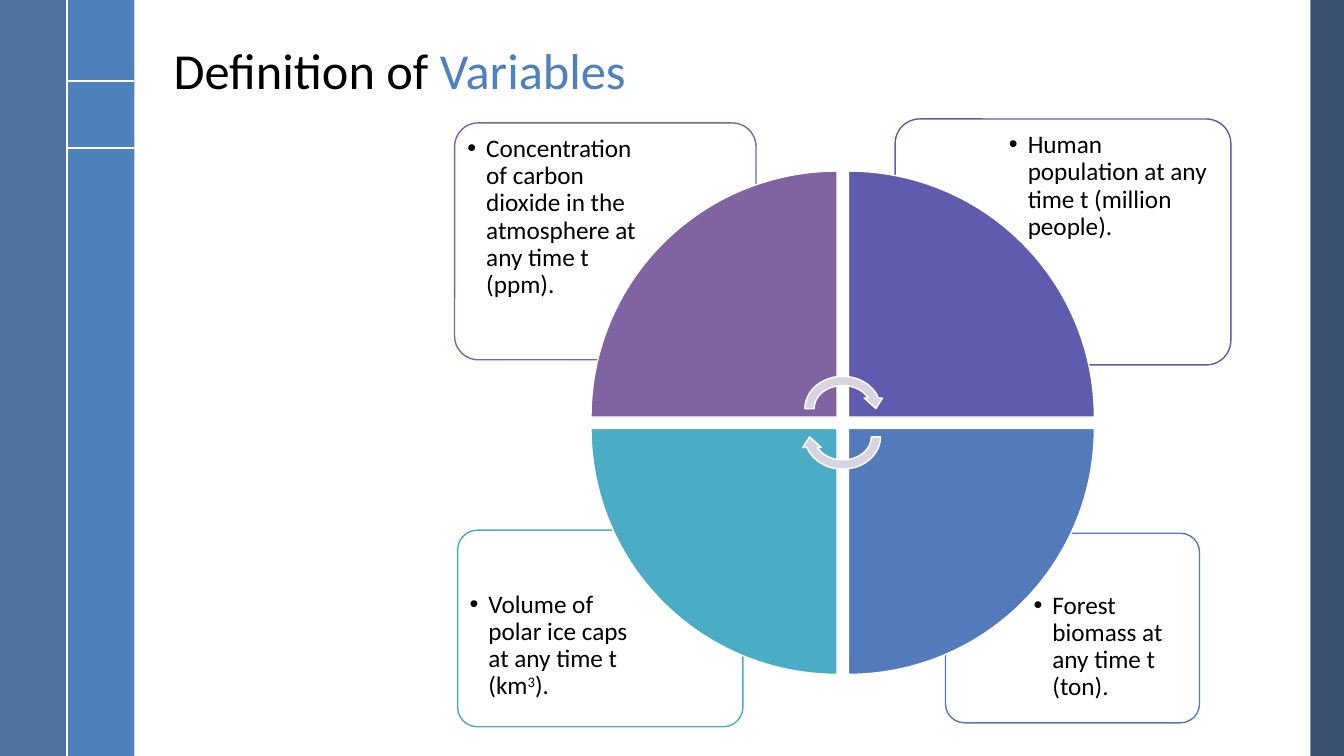
from dataclasses import dataclass

from lxml.etree import SubElement
from pptx import Presentation
from pptx.dml.color import RGBColor
from pptx.enum.shapes import MSO_CONNECTOR, MSO_SHAPE
from pptx.enum.text import MSO_ANCHOR
from pptx.oxml.ns import qn
from pptx.util import Pt

SLIDE_WIDTH, SLIDE_HEIGHT = 960, 540


@dataclass(frozen=True)
class Theme:
    font: str = "Calibri"
    title_size: int = 36
    body_size: int = 18
    text: str = "000000"
    white: str = "FFFFFF"
    accent: str = "4F81BD"
    left_band: str = "376092"
    right_band: str = "254061"
    carbon: str = "8064A2"
    population: str = "5F5BAE"
    forest: str = "537ABA"
    ice: str = "4BACC6"
    arrow: str = "D8D3E0"


THEME = Theme()


def points(box):
    return [Pt(length) for length in box]


def set_attributes(target, values):
    for name, value in values.items():
        setattr(target, name, value)


def add_filled(slide, kind, box, fill, line=None, opacity=100, rotation=0):
    shape = slide.shapes.add_shape(kind, *points(box))
    shape.shadow.inherit = False
    shape.rotation = rotation
    shape.fill.solid()
    shape.fill.fore_color.rgb = RGBColor.from_string(fill)
    if opacity < 100:
        color = shape.fill._xPr.find(qn("a:solidFill"))[0]
        SubElement(color, qn("a:alpha"), val=str(opacity * 1000))
    if line:
        shape.line.color.rgb = RGBColor.from_string(line)
        shape.line.width = Pt(1)
    else:
        shape.line.fill.background()
    return shape


def add_white_line(slide, start, end):
    line = slide.shapes.add_connector(MSO_CONNECTOR.STRAIGHT, *points(start + end))
    line.line.color.rgb = RGBColor.from_string(THEME.white)
    line.line.width = Pt(1.5)
    SubElement(line._element.spPr, qn("a:effectLst"))


def add_text(slide, box, runs, size, frame_format):
    """Add one paragraph; each run is (text, colour, baseline percent)."""
    frame = slide.shapes.add_textbox(*points(box)).text_frame
    set_attributes(frame, {"word_wrap": True, **frame_format})
    paragraph = frame.paragraphs[0]
    paragraph.line_spacing = 0.9
    for text, color, baseline in runs:
        run = paragraph.add_run()
        run.text = text
        set_attributes(run.font, {"name": THEME.font, "size": Pt(size)})
        run.font.color.rgb = RGBColor.from_string(color)
        if baseline:
            run.font._element.set("baseline", str(baseline * 1000))
    return paragraph


def add_bullet(paragraph, indent):
    properties = paragraph._p.get_or_add_pPr()
    properties.set("marL", str(Pt(indent)))
    properties.set("indent", str(-Pt(indent)))
    SubElement(properties, qn("a:buFont"), typeface="Arial")
    SubElement(properties, qn("a:buChar"), char="•")


def add_side_bands(slide, box):
    left, top, width, height = box
    band = 48
    inner, outer = left + band, left + 2 * band
    bands = [
        (left + width - band / 2, band / 2, THEME.right_band, 90),
        (inner, band, THEME.accent, 100),
        (left, band, THEME.left_band, 88),
    ]
    for x, band_width, color, opacity in bands:
        add_filled(slide, MSO_SHAPE.RECTANGLE, (x, top, band_width, height),
                   color, opacity=opacity)
    for y in (top + 58, top + 106):
        add_white_line(slide, (inner, y), (outer, y))
    add_white_line(slide, (inner, top), (inner, top + height))


def add_title(slide, box):
    runs = [("Definition of ", THEME.text, 0), ("Variables", THEME.accent, 0)]
    add_text(slide, box, runs, THEME.title_size,
             {"vertical_anchor": MSO_ANCHOR.BOTTOM})


def add_card(slide, box, color, runs, on_right, on_bottom):
    """Outlined card whose text keeps to the corner away from the circle."""
    left, top, width, height = box
    card = add_filled(slide, MSO_SHAPE.ROUNDED_RECTANGLE, box, THEME.white,
                      color, opacity=90)
    card.adjustments[0] = 0.1
    margin = 0.022 * height
    text_box = (
        left + margin + (0.3 * width if on_right else 0),
        top + margin + (0.25 * height if on_bottom else 0),
        0.7 * width - 2 * margin,
        0.75 * height - 2 * margin,
    )
    sides = ("left", "top", "right", "bottom")
    insets = {f"margin_{side}": Pt(5.4) for side in sides}
    runs = [(text, THEME.text, baseline) for text, baseline in runs]
    paragraph = add_text(slide, text_box, runs, THEME.body_size, insets)
    add_bullet(paragraph, 13.5)


def add_cycle(slide, box):
    """Four wedges, clockwise from the top left, around two arrows."""
    left, top, size, _ = box
    wedge = 175.7
    far = size - wedge
    wedges = [(0, 0, THEME.carbon), (far, 0, THEME.population),
              (far, far, THEME.forest), (0, far, THEME.ice)]
    for turn, (x, y, color) in enumerate(wedges):
        add_filled(slide, MSO_SHAPE.PIE_WEDGE, (left + x, top + y, wedge, wedge),
                   color, THEME.white, rotation=90 * turn)
    arrow_width, arrow_height, offset = 60.6, 52.7, 10.1
    arrow_left = left + (size - arrow_width) / 2
    arrow_top = top + (size - arrow_height) / 2
    for shift, rotation in ((-offset, 0), (offset, 180)):
        add_filled(slide, MSO_SHAPE.CIRCULAR_ARROW,
                   (arrow_left, arrow_top + shift, arrow_width, arrow_height),
                   THEME.arrow, THEME.white, rotation=rotation)


def main():
    presentation = Presentation()
    presentation.slide_width = Pt(SLIDE_WIDTH)
    presentation.slide_height = Pt(SLIDE_HEIGHT)
    slide = presentation.slides.add_slide(presentation.slide_layouts[6])
    add_side_bands(slide, (0, 0, SLIDE_WIDTH, SLIDE_HEIGHT))
    add_title(slide, (116.9, -19.4, 771, 95))
    cards = [
        ((675.4, 380.9, 181.4, 135.4), THEME.forest,
         [("Forest biomass at any time t (ton).", 0)], True, True),
        ((326.9, 378.7, 203.8, 140.4), THEME.ice,
         [("Volume of polar ice caps at any time t (km", 0), ("3", 30), (").", 0)],
         False, True),
        ((639.4, 85, 239.8, 175.7), THEME.population,
         [("Human population at any time t (million people).", 0)], True, False),
        ((324.7, 87.8, 215.3, 169.2), THEME.carbon,
         [("Concentration of carbon dioxide in the atmosphere at any time t (ppm).", 0)],
         False, False),
    ]
    for card in cards:
        add_card(slide, *card)
    add_cycle(slide, (422.2, 122.2, 359.5, 359.5))
    presentation.save("out.pptx")


if __name__ == "__main__":
    main()
